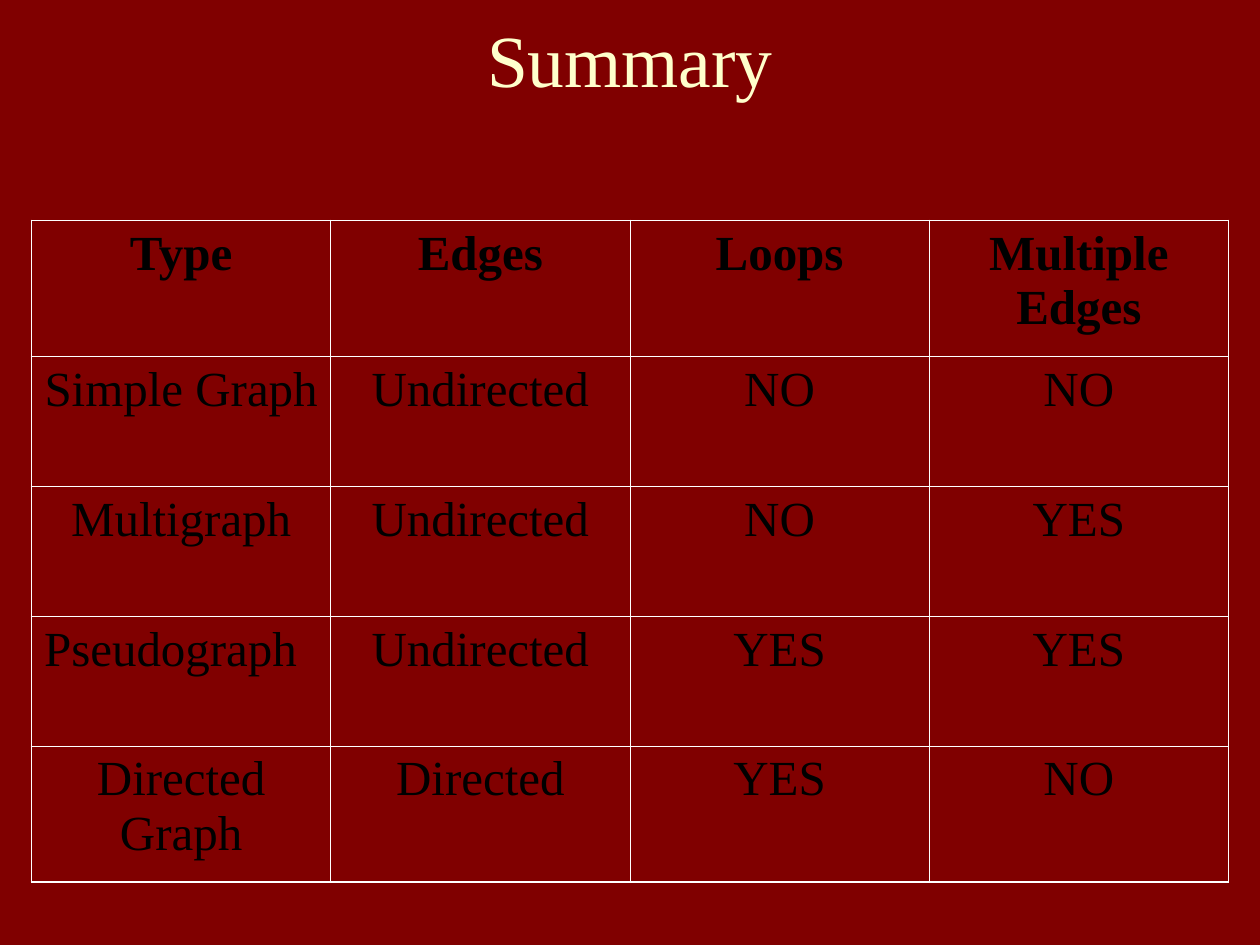
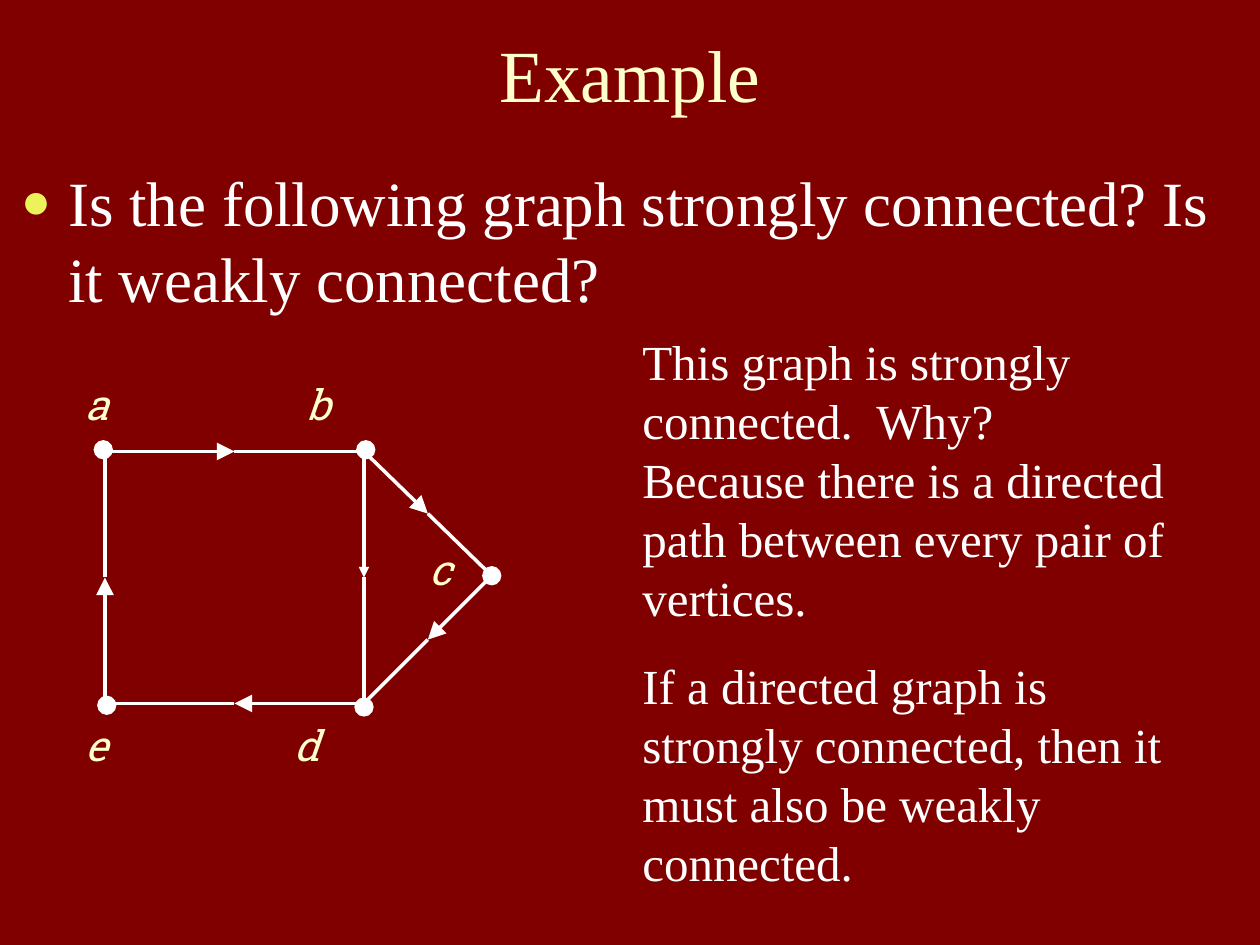
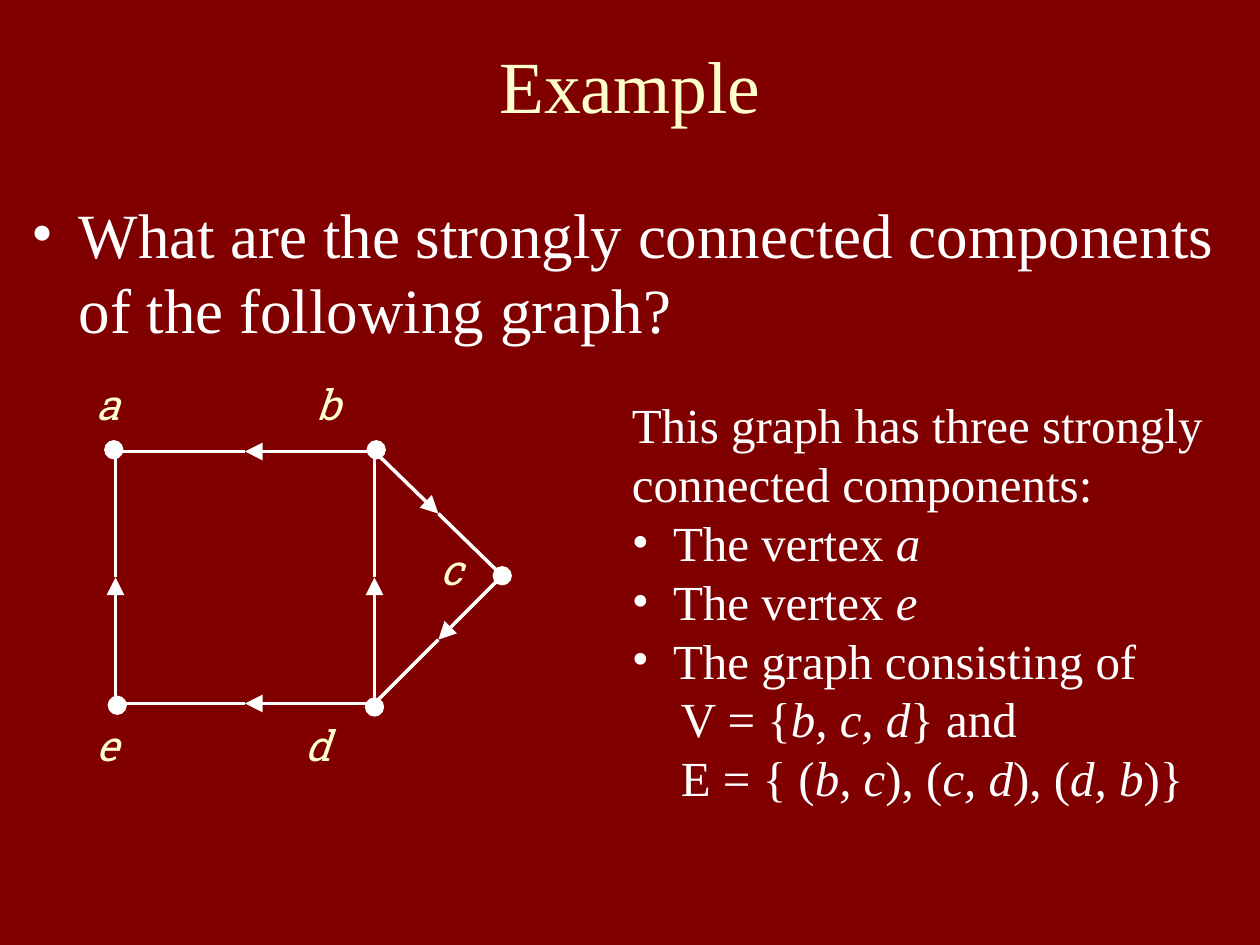
from lxml.etree import SubElement
from pptx import Presentation
from pptx.dml.color import RGBColor
from pptx.enum.shapes import MSO_CONNECTOR, MSO_SHAPE
from pptx.enum.text import MSO_ANCHOR, PP_ALIGN
from pptx.oxml.ns import qn
from pptx.util import Pt

SERIF = "Times New Roman"
SLAB = "Roboto Slab"
MAROON = "800000"
CREAM = "FFFFCC"
WHITE = "FFFFFF"
BLACK = "000000"
YELLOW = "EBF25A"

TYPE_TABLE = [
    ["Type", "Edges", "Loops", "Multiple Edges"],
    ["Simple Graph", "Undirected", "NO", "NO"],
    ["Multigraph", "Undirected", "NO", "YES"],
    ["Pseudograph", "Undirected", "YES", "YES"],
    ["Directed Graph", "Directed", "YES", "NO"],
]

# Edge ends and label corners, relative to the corner of the graph
VERTICES = {"a": (6, 6), "b": (154, 6), "c": (227, 77), "d": (154, 150), "e": (6, 150)}
LABELS = {"a": (-5, -36), "b": (121, -36), "c": (191.5, 58.5), "d": (114.5, 159), "e": (-5, 159)}
# Dots sit slightly off the edge ends
DOT_SHIFTS = {"a": (-1, -1), "b": (1, -1), "c": (0, 0), "d": (0, 2), "e": (1, 1)}
DOT = 10


def color(hex_string):
    return RGBColor.from_string(hex_string)


def style_font(font, size, hex_color, name=SERIF, bold=False):
    font.size = Pt(size)
    font.name = name
    font.bold = bold
    font.color.rgb = color(hex_color)


def set_indent(paragraph, left, hanging=0):
    properties = paragraph._p.get_or_add_pPr()
    properties.set("marL", str(Pt(left)))
    properties.set("indent", str(-Pt(hanging)))


def set_bullet(paragraph, char, hex_color=WHITE, percent=100):
    properties = paragraph._p.get_or_add_pPr()
    bullet_color = SubElement(properties, qn("a:buClr"))
    SubElement(bullet_color, qn("a:srgbClr"), val=hex_color)
    SubElement(properties, qn("a:buSzPct"), val=str(percent * 1000))
    SubElement(properties, qn("a:buFont"), typeface=SERIF)
    SubElement(properties, qn("a:buChar"), char=char)


def add_text_frame(slide, box, inset_x=7.2, inset_y=3.6):
    frame = slide.shapes.add_textbox(*map(Pt, box)).text_frame
    frame.word_wrap = True
    frame.margin_left = frame.margin_right = Pt(inset_x)
    frame.margin_top = frame.margin_bottom = Pt(inset_y)
    return frame


def next_paragraph(frame):
    """Return the empty first paragraph, or a new one after the text."""
    first = frame.paragraphs[0]
    return frame.add_paragraph() if first.runs else first


def add_marked_runs(paragraph, text):
    """Add runs; pieces between underscores are italic."""
    for index, piece in enumerate(text.split("_")):
        if piece:
            run = paragraph.add_run()
            run.text = piece
            if index % 2:
                run.font.italic = True


def add_title(slide, text, box):
    frame = add_text_frame(slide, box)
    frame.vertical_anchor = MSO_ANCHOR.MIDDLE
    paragraph = frame.paragraphs[0]
    paragraph.text = text
    paragraph.alignment = PP_ALIGN.CENTER
    style_font(paragraph.font, 42, CREAM)


def add_question(slide, text, box, bullet):
    paragraph = add_text_frame(slide, box, inset_x=0).paragraphs[0]
    paragraph.text = text
    set_indent(paragraph, 27, 27)
    set_bullet(paragraph, *bullet)
    style_font(paragraph.font, 36, WHITE)


def add_connectedness_answer(slide, box):
    frame = add_text_frame(slide, box)
    for index, text in enumerate([
        "This graph is strongly connected.  Why?\vBecause there is a directed "
        "path between every pair of vertices.",
        "If a directed graph is strongly connected, then it must also be "
        "weakly connected.",
    ]):
        paragraph = next_paragraph(frame)
        paragraph.text = text
        if index:
            paragraph.space_before = Pt(17)
        style_font(paragraph.font, 28, WHITE)


def add_components_answer(slide, box):
    frame = add_text_frame(slide, box)
    for text, left, bulleted in [
        ("This graph has three strongly connected components:", 0, False),
        ("The vertex _a_", 23.5, True),
        ("The vertex _e_", 23.5, True),
        ("The graph consisting of", 23.5, True),
        ("V = {_b, c, d_} and", 28, False),
        ("E = { (_b, c_), (_c, d_), (_d, b_)}", 28, False),
    ]:
        paragraph = next_paragraph(frame)
        add_marked_runs(paragraph, text)
        set_indent(paragraph, left, left if bulleted else 0)
        if bulleted:
            set_bullet(paragraph, "•")
        style_font(paragraph.font, 28, WHITE)


def add_line(slide, start, end, head=None):
    """Draw a line, with an arrowhead of size head at its end if given."""
    line = slide.shapes.add_connector(MSO_CONNECTOR.STRAIGHT, *map(Pt, start + end))
    line.line.color.rgb = color(WHITE)
    line.line.width = Pt(2)
    if head:
        SubElement(line.line._get_or_add_ln(), qn("a:tailEnd"),
                   type="triangle", w=head, len=head)
    SubElement(line._element.spPr, qn("a:effectLst"))


def add_dot(slide, x, y):
    dot = slide.shapes.add_shape(
        MSO_SHAPE.OVAL, Pt(x - DOT / 2), Pt(y - DOT / 2), Pt(DOT), Pt(DOT))
    dot.shadow.inherit = False
    dot.fill.solid()
    dot.fill.fore_color.rgb = color(WHITE)
    dot.line.color.rgb = color(WHITE)
    dot.line.width = Pt(1)


def add_graph(slide, left, top, edges, slim_edges=()):
    """Draw the five vertices and the edges, each with an arrow at its middle."""
    ends = {name: (left + x, top + y) for name, (x, y) in VERTICES.items()}
    for edge in edges:
        start, end = (ends[name] for name in edge)
        middle = tuple((p + q) / 2 for p, q in zip(start, end))
        add_line(slide, start, middle, "med" if edge in slim_edges else "lg")
        add_line(slide, middle, end)

    for name, (x, y) in ends.items():
        shift_x, shift_y = DOT_SHIFTS[name]
        add_dot(slide, x + shift_x, y + shift_y)
        label_x, label_y = LABELS[name]
        frame = add_text_frame(slide, (left + label_x, top + label_y, 24, 32), 0, 0)
        paragraph = frame.paragraphs[0]
        paragraph.text = name
        style_font(paragraph.font, 24, CREAM, SLAB)
        paragraph.font.italic = True


def set_borders(cell, outer_sides):
    properties = cell._tc.get_or_add_tcPr()
    for side in "LRTB":
        width = 1.08 if side in outer_sides else 0.45
        line = SubElement(properties, qn(f"a:ln{side}"), w=str(Pt(width)))
        fill = SubElement(line, qn("a:solidFill"))
        SubElement(fill, qn("a:srgbClr"), val=WHITE)


def add_type_table(slide, box):
    rows, columns = len(TYPE_TABLE), len(TYPE_TABLE[0])
    table = slide.shapes.add_table(rows, columns, *map(Pt, box)).table
    table.first_row = table.horz_banding = False
    for column in table.columns:
        column.width = Pt(box[2] / columns)
    for index, row in enumerate(table.rows):
        row.height = Pt(77.7 if index in (0, rows - 1) else 74.2)

    for i, texts in enumerate(TYPE_TABLE):
        for j, text in enumerate(texts):
            cell = table.cell(i, j)
            edges = {"L": j == 0, "R": j == columns - 1, "T": i == 0, "B": i == rows - 1}
            set_borders(cell, [side for side, outer in edges.items() if outer])
            cell.fill.background()
            paragraph = cell.text_frame.paragraphs[0]
            paragraph.text = text
            paragraph.alignment = (
                PP_ALIGN.LEFT if text == "Pseudograph" else PP_ALIGN.CENTER)
            style_font(paragraph.font, 28, BLACK, bold=i == 0)


def build_summary(slide):
    add_title(slide, "Summary", (36, 0, 648, 66))
    add_type_table(slide, (18, 126, 684, 378))


def build_connectedness_example(slide):
    add_title(slide, "Example", (36, 12, 648, 60))
    add_question(
        slide, "Is the following graph strongly connected? Is it weakly connected?",
        (12, 90, 696, 96), ("●", YELLOW, 80))
    add_graph(slide, 54, 252, ["ab", "bc", "bd", "cd", "de", "ea"], slim_edges=["bd"])
    add_connectedness_answer(slide, (360, 186, 342, 328))


def build_components_example(slide):
    add_title(slide, "Example", (36, 12, 648, 72))
    add_question(
        slide, "What are the strongly connected components of the following graph?",
        (18, 108, 678, 108), ("•",))
    add_graph(slide, 60, 252, ["ba", "bc", "db", "cd", "de", "ea"])
    add_components_answer(slide, (354, 222, 342, 243))


def main():
    presentation = Presentation()
    presentation.slide_width, presentation.slide_height = Pt(720), Pt(540)
    background = presentation.slide_master.background.fill
    background.solid()
    background.fore_color.rgb = color(MAROON)
    blank = presentation.slide_layouts[6]
    for build in (build_summary, build_connectedness_example, build_components_example):
        build(presentation.slides.add_slide(blank))
    presentation.save("out.pptx")


if __name__ == "__main__":
    main()
